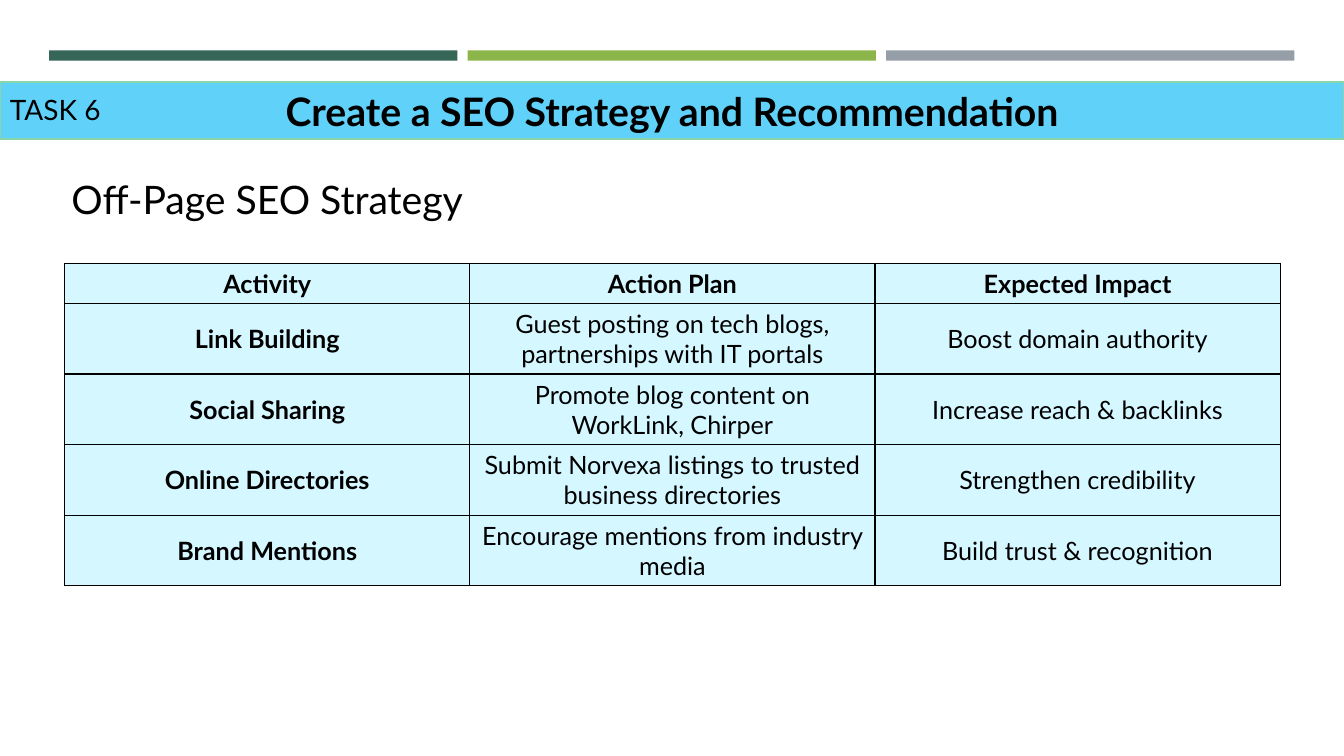
from lxml.etree import SubElement
from pptx import Presentation
from pptx.dml.color import RGBColor
from pptx.enum.shapes import MSO_SHAPE
from pptx.enum.text import MSO_ANCHOR, MSO_AUTO_SIZE, PP_ALIGN
from pptx.oxml.ns import qn
from pptx.util import Cm, Pt

BLACK = RGBColor(0x00, 0x00, 0x00)
PINE = RGBColor(0x36, 0x66, 0x58)
LIME = RGBColor(0x8C, 0xB6, 0x4A)
SLATE = RGBColor(0x96, 0x9F, 0xA7)
SKY = RGBColor(0x60, 0xD2, 0xFA)
MINT = RGBColor(0x88, 0xD5, 0xA9)
ICE = RGBColor(0xD5, 0xF7, 0xFF)

SLIDE_WIDTH, SLIDE_HEIGHT = 33.87, 19.05

ACTIVITIES = [
    ("Activity", "Action Plan", "Expected Impact"),
    ("Link Building", "Guest posting on tech blogs, partnerships with IT portals",
     "Boost domain authority"),
    ("Social Sharing", "Promote blog content on WorkLink, Chirper",
     "Increase reach & backlinks"),
    ("Online Directories", "Submit Norvexa listings to trusted business directories",
     "Strengthen credibility"),
    ("Brand Mentions", "Encourage mentions from industry media",
     "Build trust & recognition"),
]


def write(frame, text, size, bold=False, align=PP_ALIGN.LEFT):
    frame.word_wrap = True
    frame.text = text
    paragraph = frame.paragraphs[0]
    paragraph.alignment = align
    formats = {"name": "Lato", "size": Pt(size), "bold": bold}
    for attribute, value in formats.items():
        setattr(paragraph.font, attribute, value)
    paragraph.font.color.rgb = BLACK


def add_label(slide, text, size, left, top, width, height):
    label = slide.shapes.add_textbox(Cm(left), Cm(top), Cm(width), Cm(height))
    write(label.text_frame, text, size)


def add_accent_bars(slide, left, top, width, height, gap=0.26):
    colors = (PINE, LIME, SLATE)
    bar_width = (width - gap * (len(colors) - 1)) / len(colors)
    for index, color in enumerate(colors):
        bar = slide.shapes.add_shape(
            MSO_SHAPE.RECTANGLE, Cm(left + index * (bar_width + gap)), Cm(top),
            Cm(bar_width), Cm(height))
        bar.shadow.inherit = False
        bar.fill.solid()
        bar.fill.fore_color.rgb = color
        bar.line.fill.background()


def add_title_band(slide, left, top, width, height):
    # Title on a coloured band
    band = slide.shapes.title
    box = {"left": left, "top": top, "width": width, "height": height}
    for attribute, value in box.items():
        setattr(band, attribute, Cm(value))
    band.fill.solid()
    band.fill.fore_color.rgb = SKY
    band.line.color.rgb = MINT
    band.line.width = Pt(1.75)
    write(band.text_frame, "Create a SEO Strategy and Recommendation", 28,
          bold=True, align=PP_ALIGN.CENTER)
    band.text_frame.auto_size = MSO_AUTO_SIZE.NONE
    band.text_frame.vertical_anchor = MSO_ANCHOR.MIDDLE

    # Task number at the left end of the band
    add_label(slide, "TASK 6", 20, left, top + 0.15, 3.1, 1.12)


def add_borders(cell):
    properties = cell._tc.get_or_add_tcPr()
    for side in ("a:lnL", "a:lnR", "a:lnT", "a:lnB"):
        border = SubElement(properties, qn(side), w=str(Pt(1)))
        fill = SubElement(border, qn("a:solidFill"))
        SubElement(fill, qn("a:srgbClr"), val=str(BLACK))


def add_activity_table(slide, left, top, width, height, header_height=1.0):
    row_count, column_count = len(ACTIVITIES), len(ACTIVITIES[0])
    table = slide.shapes.add_table(row_count, column_count, Cm(left), Cm(top),
                                   Cm(width), Cm(height)).table
    body_height = (height - header_height) / (row_count - 1)
    for row_index, entries in enumerate(ACTIVITIES):
        table.rows[row_index].height = Cm(body_height if row_index else header_height)
        for column_index, entry in enumerate(entries):
            cell = table.cell(row_index, column_index)
            add_borders(cell)
            cell.fill.solid()
            cell.fill.fore_color.rgb = ICE
            cell.vertical_anchor = MSO_ANCHOR.MIDDLE
            write(cell.text_frame, entry, 18,
                  bold=row_index == 0 or column_index == 0,
                  align=PP_ALIGN.CENTER)


def build_strategy_slide(presentation):
    slide = presentation.slides.add_slide(presentation.slide_layouts[5])
    add_accent_bars(slide, 1.24, 1.27, 31.38, 0.26)
    add_title_band(slide, 0, 2.06, SLIDE_WIDTH, 1.45)
    add_label(slide, "Off-Page SEO Strategy", 28, 1.55, 4.29, 11.79, 1.45)
    add_activity_table(slide, 1.63, 6.63, 30.63, 8.12)


def main():
    presentation = Presentation()
    presentation.slide_width = Cm(SLIDE_WIDTH)
    presentation.slide_height = Cm(SLIDE_HEIGHT)
    build_strategy_slide(presentation)
    presentation.save("out.pptx")


if __name__ == "__main__":
    main()
